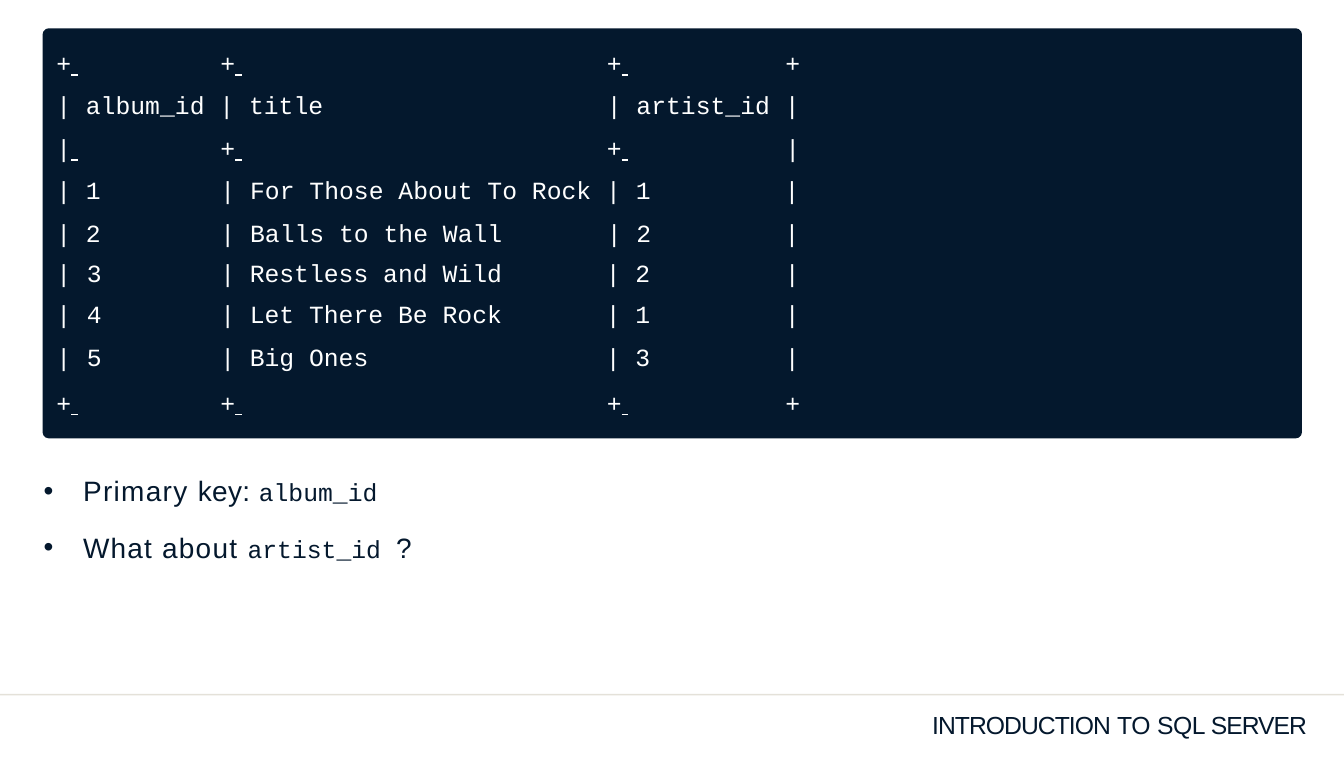
from lxml.etree import SubElement
from pptx import Presentation
from pptx.dml.color import RGBColor
from pptx.enum.shapes import MSO_SHAPE
from pptx.enum.text import MSO_AUTO_SIZE, PP_ALIGN
from pptx.oxml.ns import qn
from pptx.util import Cm, Pt

COLORS = {"navy": "04182D", "white": "FFFFFF", "rule": "E4E1D9"}
CODE = {"name": "Courier New", "size": Pt(22.5)}
BODY = {"name": "Arial", "size": Pt(25.5)}
FOOTER = {"name": "Arial", "size": Pt(22.5)}
DASH = {"name": "Arial", "size": Pt(22.5), "underline": True}
NO_GRID = "{2D5ABB26-0587-4C30-8999-92F81FD0307C}"
TABS = (5.28, 17.7, 23.44)
COLUMNS = (0.81, 2.62, 2.62, 6.2, 3.81, 2.39, 2.87, 2.72)
ROWS = (
    (1.17, 0, "|", "3", "|", "Restless and", "Wild", "|", "2", "|"),
    (1.37, 0.18, "|", "4", "|", "Let There Be", "Rock", "|", "1", "|"),
    (1.17, 0.18, "|", "5", "|", "Big Ones", "", "|", "3", "|"),
)


def color(name):
    return RGBColor.from_string(COLORS[name])


def add_block(s, shape, box, fill):
    sp = s.shapes.add_shape(shape, *map(Cm, box))
    sp.shadow.inherit = False
    sp.fill.solid()
    sp.fill.fore_color.rgb = color(fill)
    sp.line.fill.background()
    return sp


def add_runs(p, runs, ink):
    for text, formats, spacing in runs:
        r = p.add_run()
        r.text = text
        for name, value in formats.items():
            setattr(r.font, name, value)
        r.font.color.rgb = color(ink)
        if spacing:
            r._r.get_or_add_rPr().set("spc", str(round(spacing * 100)))


def set_indent(p, left, hanging=0):
    pPr = p._p.get_or_add_pPr()
    pPr.set("marL", str(Cm(left)))
    if hanging:
        pPr.set("indent", str(Cm(-hanging)))
    return pPr


def add_text(s, box, paragraphs, ink, top=0, gap=0, tabs=(), bullet=None):
    tf = s.shapes.add_textbox(*map(Cm, box)).text_frame
    margins = {"margin_left": 0, "margin_right": 0, "margin_bottom": 0,
               "margin_top": Cm(top)}
    for name, value in margins.items():
        setattr(tf, name, value)
    tf.word_wrap = True
    tf.auto_size = MSO_AUTO_SIZE.SHAPE_TO_FIT_TEXT
    for i, runs in enumerate(paragraphs):
        p = tf.add_paragraph() if i else tf.paragraphs[0]
        pPr = set_indent(p, 1.3, 1.27) if bullet else set_indent(p, 0.03)
        if bullet:
            SubElement(pPr, qn("a:buFont"), typeface="Arial")
            SubElement(pPr, qn("a:buChar"), char=bullet)
        if tabs:
            tab_list = SubElement(pPr, qn("a:tabLst"))
            for tab in tabs:
                SubElement(tab_list, qn("a:tab"), pos=str(Cm(tab)), algn="l")
        if i:
            p.space_before = Pt(gap)
        add_runs(p, runs, ink)


def code(text):
    return [(text, CODE, 0)]


def border(marks):
    runs = code(marks[0])
    for mark in marks[1:]:
        runs += [(" \t", DASH, 0)] + code(mark)
    return runs


def add_album_rows(s, x, y):
    frame = s.shapes.add_table(len(ROWS), len(COLUMNS), Cm(x), Cm(y),
                               Cm(sum(COLUMNS)), Cm(sum(row[0] for row in ROWS)))
    table = frame.table
    table.first_row = table.horz_banding = False
    table._tbl.tblPr.find(qn("a:tableStyleId")).text = NO_GRID
    for column, width in zip(table.columns, COLUMNS):
        column.width = Cm(width)
    last = len(COLUMNS) - 1
    for row, (height, top, *texts) in zip(table.rows, ROWS):
        row.height = Cm(height)
        for i, (cell, text) in enumerate(zip(row.cells, texts)):
            cell.fill.background()
            cell.margin_left = cell.margin_right = cell.margin_bottom = 0
            cell.margin_top = Cm(top)
            p = cell.text_frame.paragraphs[0]
            if not top:
                p.line_spacing = Pt(26.4)
            if i and text == "|":
                p.alignment = PP_ALIGN.RIGHT
                cell.margin_right = Cm(0.06 if i == last else 0.22)
            else:
                set_indent(p, 0.25 if i else 0.08)
            if text:
                add_runs(p, code(text), "white")


def add_listing(s, x, y, w, h):
    panel = add_block(s, MSO_SHAPE.ROUNDED_RECTANGLE, (x, y, w, h), "navy")
    panel.adjustments[0] = 0.2 / h
    left = x + 0.41
    pair = {"ink": "white", "top": 0.44, "gap": 11.7}
    for top in (0.59, 11.51):
        add_text(s, (left, y + top, 23.95, 0.97), [border("++++")], "white",
                 top=0.03, tabs=TABS)
    add_text(s, (left, y + 1.55, 23.95, 2.79),
             [code("| album_id | title\t| artist_id |"), border("|++|")],
             tabs=TABS, **pair)
    first_albums = [code("| 1\t| For Those About To Rock | 1"),
                    code("| 2\t| Balls to the Wall\t| 2")]
    add_text(s, (left, y + 4.27, 19.18, 2.79), first_albums, tabs=TABS[:2], **pair)
    add_text(s, (x + 23.83, y + 4.27, 0.56, 2.79), [code("|"), code("|")], **pair)
    add_album_rows(s, x + 0.36, y + 7.47)


def add_key_points(s, x, y, w, h):
    points = [
        [("Primary ", BODY, 1.2), ("key: ", BODY, 0.3), ("album_id", CODE, 0)],
        [("What about ", BODY, 1.1), ("artist_id ", CODE, 0), ("?", BODY, 0.6)],
    ]
    add_text(s, (x, y, w, h), points, "navy", top=0.03, gap=21, bullet="•")


def add_footer(s, x, y, w, h):
    add_block(s, MSO_SHAPE.RECTANGLE, (x, y, w, 0.05), "rule")
    course = [("INTRODUCTION", FOOTER, -0.9), (" TO ", FOOTER, -0.3),
              ("SQL ", FOOTER, -0.5), ("SERVER", FOOTER, -1)]
    add_text(s, (x + 29.94, y + h - 1.53, 12.42, 0.97), [course], "navy")


def main():
    prs = Presentation()
    prs.slide_width, prs.slide_height = Cm(43.21), Cm(24.33)
    s = prs.slides.add_slide(prs.slide_layouts[6])
    add_footer(s, 0, 22.3, 43.21, 2.03)
    add_listing(s, 1.37, 0.91, 40.49, 13.18)
    add_key_points(s, 1.37, 15.19, 14.81, 2.97)
    prs.save("out.pptx")


if __name__ == "__main__":
    main()
